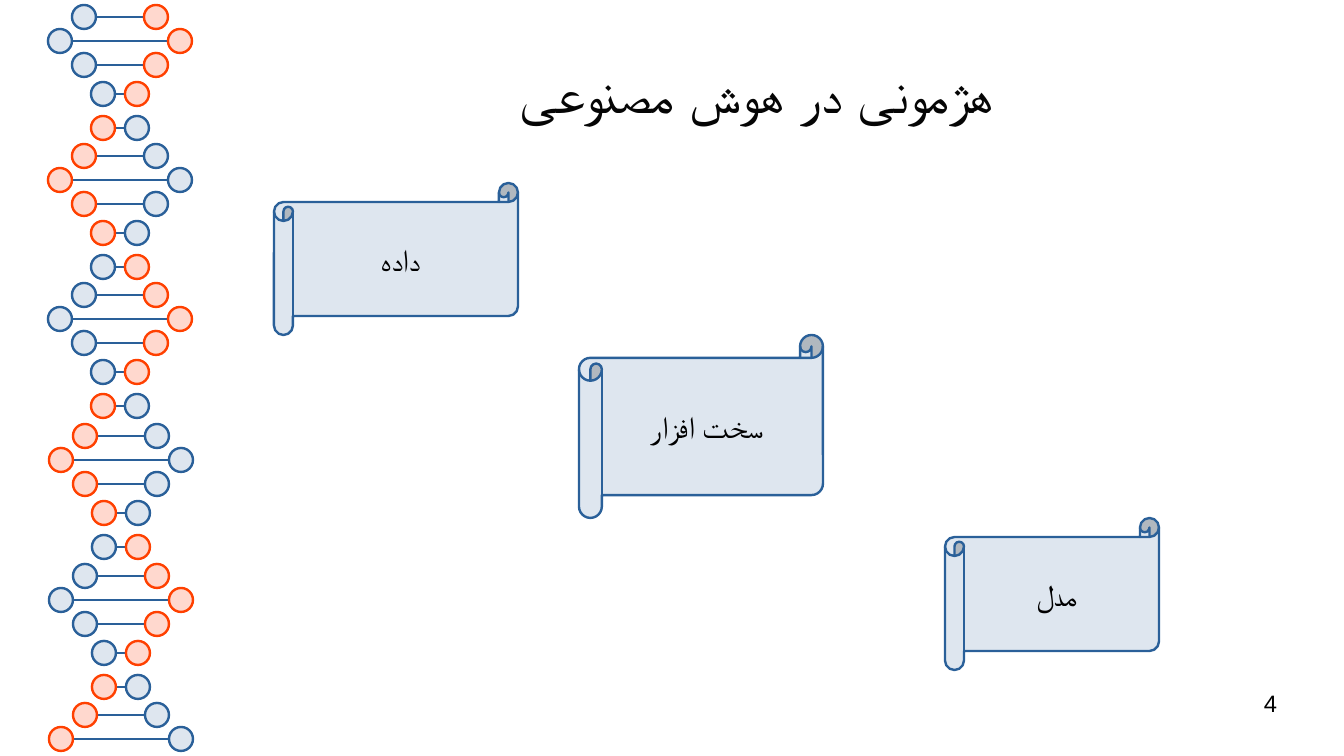
from dataclasses import dataclass

from lxml import etree
from pptx import Presentation
from pptx import util as u
from pptx.dml.color import RGBColor
from pptx.enum import shapes, text
from pptx.oxml import ns

PX = 914400 / 122  # EMU in one px
COLOURS = {
    "blue": "2A6099",
    "pale blue": "DEE6EF",
    "orange": "FF4000",
    "pale orange": "FFD8CE",
    "black": "000000",
    "ink": "050505",
}
LINE_WIDTH = u.Pt(1.42)
DISC = 24
HELIX_CENTRE = 120
RUNG_STEPS = (0, 24, 48, 77, 111)
RUNG_REACH = (36, 60, 36, 17, 17)


@dataclass(frozen=True)
class Turn:
    top: int
    shift: int = 0
    rungs: int = 5


@dataclass(frozen=True)
class Scroll:
    label: str
    left: int
    top: int
    width: int
    height: int


TURNS = [Turn(17), Turn(156), Turn(295), Turn(436, 1), Turn(576, 1), Turn(715, 1, 2)]
SCROLLS = [
    Scroll("داده", 274, 183, 244, 152),
    Scroll("سخت افزار", 579, 335, 244, 183),
    Scroll("مدل", 945, 518, 214, 152),
]


def emu(*lengths: int) -> list[int]:
    return [round(length * PX) for length in lengths]


def rgb(name: str) -> RGBColor:
    return RGBColor.from_string(COLOURS[name])


def add_outlined(page, kind, frame: tuple[int, ...], colour: str):
    """Add a preset shape with a pale fill and a line of the same hue."""
    shape = page.shapes.add_shape(kind, *emu(*frame))
    shape.shadow.inherit = False
    shape.fill.solid()
    shape.fill.fore_color.rgb = rgb(f"pale {colour}")
    shape.line.color.rgb = rgb(colour)
    shape.line.width = LINE_WIDTH
    return shape


def write(shape, words: str, size: int, align, colour: str = "black",
          rtl: bool = True, **frame_format) -> None:
    frame = shape.text_frame
    for name, value in frame_format.items():
        setattr(frame, name, value)
    para = frame.paragraphs[0]
    para.alignment = align
    if rtl:
        para._p.get_or_add_pPr().set("rtl", "1")
    span = para.add_run()
    span.text = words
    for name, value in {"name": "Arial", "size": u.Pt(size), "bold": False}.items():
        setattr(span.font, name, value)
    span.font.color.rgb = rgb(colour)
    script_font = etree.SubElement(span._r.get_or_add_rPr(), ns.qn("a:cs"))
    script_font.set("typeface", "Arial")


def add_rung(page, centre: int, y: int, reach: int, colours: tuple[str, str]) -> None:
    ends = (centre - reach, centre + reach)
    inner = DISC // 2
    bar = page.shapes.add_connector(
        shapes.MSO_CONNECTOR.STRAIGHT, *emu(ends[0] + inner, y, ends[1] - inner, y))
    bar.line.color.rgb = rgb("blue")
    bar.line.width = LINE_WIDTH
    etree.SubElement(bar._element.spPr, ns.qn("a:effectLst"))
    for x, colour in zip(ends, colours):
        add_outlined(page, shapes.MSO_SHAPE.OVAL,
                     (x - inner, y - inner, DISC, DISC), colour)


def add_helix(page) -> None:
    """Draw the rungs; the strands swap sides before the last rung of each turn."""
    strands = ("blue", "orange")
    for number, turn in enumerate(TURNS):
        for rung in range(turn.rungs):
            swapped = (number + (rung == 4)) % 2
            add_rung(page, HELIX_CENTRE + turn.shift, turn.top + RUNG_STEPS[rung],
                     RUNG_REACH[rung], strands[::-1] if swapped else strands)


def add_scroll(page, scroll: Scroll) -> None:
    shape = add_outlined(page, shapes.MSO_SHAPE.HORIZONTAL_SCROLL,
                         (scroll.left, scroll.top, scroll.width, scroll.height), "blue")
    write(shape, scroll.label, 18, text.PP_ALIGN.CENTER,
          word_wrap=False, vertical_anchor=text.MSO_ANCHOR.MIDDLE)


def main() -> None:
    deck = Presentation()
    deck.slide_width, deck.slide_height = emu(1344, 756)
    page = deck.slides.add_slide(deck.slide_layouts[5])
    no_margins = {f"margin_{side}": 0 for side in ("left", "top", "right", "bottom")}

    title = page.shapes.title
    title.left, title.top, title.width, title.height = emu(216, 29, 1081, 124)
    write(title, "هژمونی در هوش مصنوعی", 33, text.PP_ALIGN.CENTER, "ink",
          vertical_anchor=text.MSO_ANCHOR.MIDDLE,
          auto_size=text.MSO_AUTO_SIZE.NONE, **no_margins)

    add_helix(page)
    for scroll in SCROLLS:
        add_scroll(page, scroll)

    number_box = page.shapes.add_textbox(*emu(964, 689, 313, 52))
    write(number_box, "4", 14, text.PP_ALIGN.RIGHT, rtl=False,
          word_wrap=True, **no_margins)
    deck.save("out.pptx")


if __name__ == "__main__":
    main()
